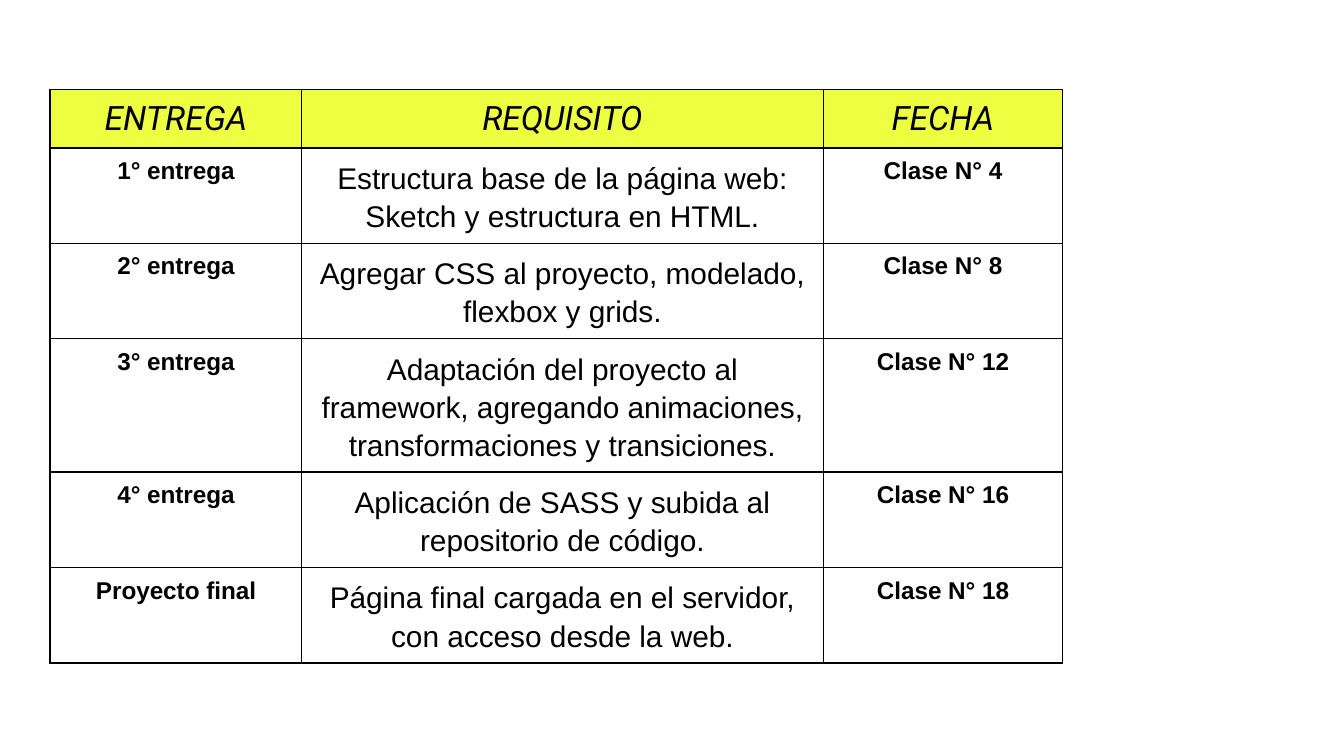
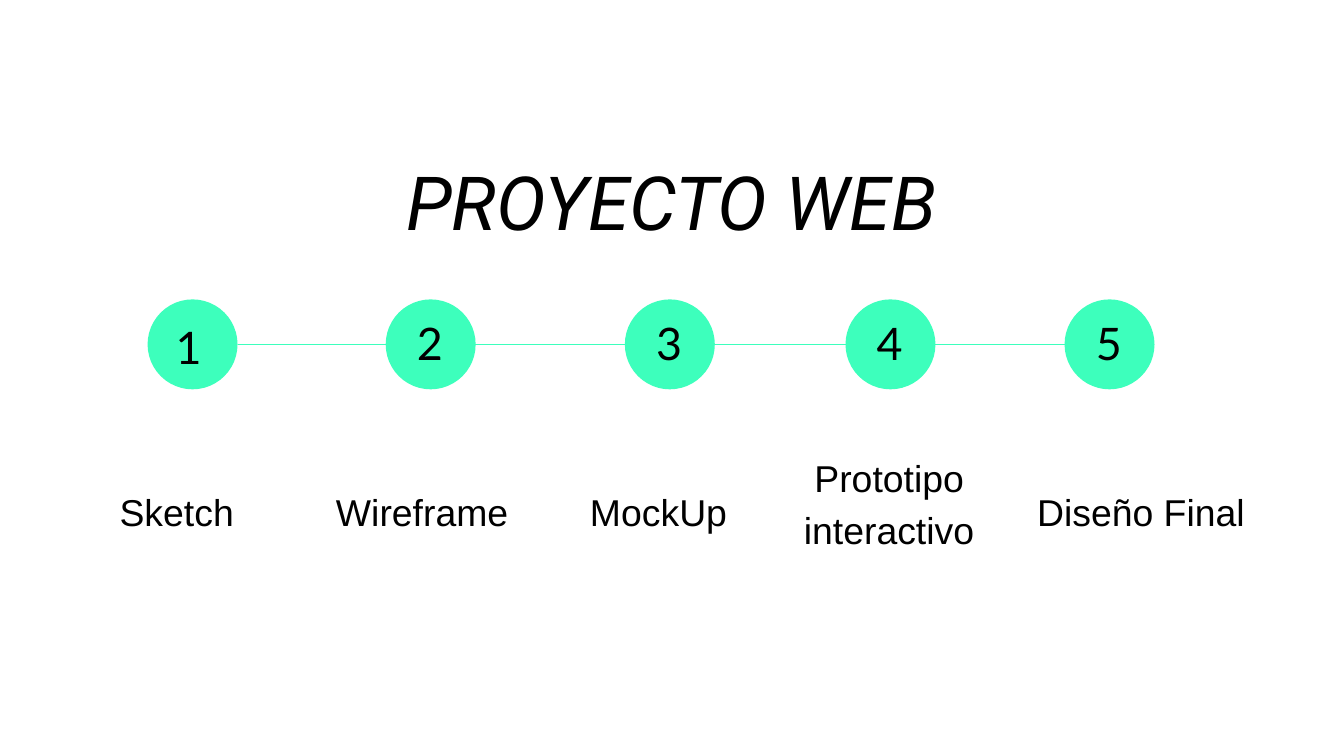
from dataclasses import dataclass

from lxml.etree import SubElement
from pptx import Presentation
from pptx.dml.color import RGBColor
from pptx.enum.shapes import MSO_CONNECTOR, MSO_SHAPE
from pptx.enum.text import MSO_ANCHOR, PP_ALIGN
from pptx.oxml.ns import qn
from pptx.util import Cm, Pt

HEADINGS = ("ENTREGA", "REQUISITO", "FECHA")
DELIVERIES = [
    ("1° entrega", "Estructura base de la página web: Sketch y estructura en HTML.", "Clase N° 4"),
    ("2° entrega", "Agregar CSS al proyecto, modelado, flexbox y grids.", "Clase N° 8"),
    ("3° entrega", "Adaptación del proyecto al framework, agregando animaciones, "
                   "transformaciones y transiciones.", "Clase N° 12"),
    ("4° entrega", "Aplicación de SASS y subida al repositorio de código.", "Clase N° 16"),
    ("Proyecto final", "Página final cargada en el servidor, con acceso desde la web.", "Clase N° 18"),
]
COLUMN_WIDTHS = (4.75, 9.86, 4.52)
ROW_HEIGHTS = (1.09, 1.8, 1.8, 2.52, 1.8, 1.8)

PROJECT_TITLE = "PROYECTO WEB"
# Stage name, circle left, label left, label width, label height (cm)
STAGES = [
    ("Sketch", 2.79, 2.01, 3.3, 2.97),
    ("Wireframe", 7.29, 6.1, 4.45, 2.11),
    ("MockUp", 11.81, 10.9, 3.53, 1.93),
    ("Prototipo interactivo", 15.98, 14.58, 4.45, 2.49),
    ("Diseño Final", 20.12, 19.35, 4.9, 1.52),
]
CIRCLE_TOP, CIRCLE_SIZE = 5.66, 1.7
LABEL_MIDDLE = 9.46
FIRST_NUMBER_OFFSET, NUMBER_OFFSET = (0.28, 0.13), (0.34, 0.06)


@dataclass(frozen=True)
class Theme:
    ink: RGBColor = RGBColor(0x00, 0x00, 0x00)
    lime: RGBColor = RGBColor(0xEE, 0xFF, 0x41)
    mint: RGBColor = RGBColor(0x3D, 0xFF, 0xBC)
    inset: float = 0.25
    cell_inset: float = 0.18
    border: float = 1
    rail: float = 0.75


THEME = Theme()
TITLE = {"name": "Roboto", "size": Pt(40), "italic": True}
HEADING = {"name": "Roboto", "size": Pt(18), "italic": True}
KEY = {"name": "Arial", "size": Pt(13), "bold": True}
REQUIREMENT = {"name": "Arial", "size": Pt(16), "bold": False}
STAGE = {"name": "Arial", "size": Pt(20)}
NUMBER = {"name": "Lato", "size": Pt(24)}

CENTERED = {"alignment": PP_ALIGN.CENTER}
ROOMY = {"line_spacing": 1.5, "space_after": Pt(11)}
JUSTIFIED = {"alignment": PP_ALIGN.JUSTIFY, **ROOMY}
MULTILINE = {**CENTERED, **ROOMY, "line_spacing": 1.15}


def apply(target, values):
    for attribute, value in values.items():
        setattr(target, attribute, value)


def margins(inset):
    return {f"margin_{side}": Cm(inset) for side in ("left", "right", "top", "bottom")}


def write(frame, words, font, layout):
    paragraph = frame.paragraphs[0]
    apply(paragraph, layout)
    run = paragraph.add_run()
    run.text = words
    apply(run.font, font)
    run.font.color.rgb = THEME.ink


def add_text(slide, box, words, font, layout, anchor=MSO_ANCHOR.TOP):
    frame = slide.shapes.add_textbox(*map(Cm, box)).text_frame
    apply(frame, {"word_wrap": True, "vertical_anchor": anchor, **margins(THEME.inset)})
    write(frame, words, font, layout)


def add_borders(cell):
    properties = cell._tc.get_or_add_tcPr()
    for edge in ("lnL", "lnR", "lnT", "lnB"):
        line = SubElement(properties, qn(f"a:{edge}"), w=str(Pt(THEME.border)))
        fill = SubElement(line, qn("a:solidFill"))
        SubElement(fill, qn("a:srgbClr"), val=str(THEME.ink))


def fill_cell(cell, words, font, layout, color=None):
    apply(cell, margins(THEME.cell_inset))
    add_borders(cell)
    if color is None:
        cell.fill.background()
    else:
        cell.fill.solid()
        cell.fill.fore_color.rgb = color
    write(cell.text_frame, words, font, layout)


def build_deliveries(slide):
    size = (sum(COLUMN_WIDTHS), sum(ROW_HEIGHTS))
    table = slide.shapes.add_table(
        len(ROW_HEIGHTS), len(COLUMN_WIDTHS), *map(Cm, (0.95, 1.69, *size))).table
    apply(table, {"first_row": False, "horz_banding": False})
    for column, width in zip(table.columns, COLUMN_WIDTHS):
        column.width = Cm(width)
    for row, height in zip(table.rows, ROW_HEIGHTS):
        row.height = Cm(height)

    for column, heading in enumerate(HEADINGS):
        fill_cell(table.cell(0, column), heading, HEADING, CENTERED, THEME.lime)
    formats = (
        (KEY, CENTERED),
        (REQUIREMENT, {**CENTERED, "line_spacing": 1.15}),
        (KEY, CENTERED),
    )
    for row, delivery in enumerate(DELIVERIES, start=1):
        for column, (words, (font, layout)) in enumerate(zip(delivery, formats)):
            fill_cell(table.cell(row, column), words, font, layout)


def add_rail(slide):
    """Draw the line that runs behind the circles, first to last."""
    start, end = STAGES[0][1] + CIRCLE_SIZE, STAGES[-1][1]
    middle = CIRCLE_TOP + CIRCLE_SIZE / 2
    rail = slide.shapes.add_connector(
        MSO_CONNECTOR.STRAIGHT, *map(Cm, (start, middle, end, middle)))
    rail.line.color.rgb = THEME.mint
    rail.line.width = Pt(THEME.rail)
    SubElement(rail._element.spPr, qn("a:effectLst"))


def add_circle(slide, left):
    circle = slide.shapes.add_shape(
        MSO_SHAPE.OVAL, *map(Cm, (left, CIRCLE_TOP, CIRCLE_SIZE, CIRCLE_SIZE)))
    circle.shadow.inherit = False
    circle.fill.solid()
    circle.fill.fore_color.rgb = THEME.mint
    circle.line.fill.background()


def build_stages(slide):
    add_rail(slide)
    add_text(slide, (3.63, 1.85, 18.11, 2.74), PROJECT_TITLE, TITLE, {**CENTERED, **ROOMY})
    for number, (stage, circle_left, left, width, height) in enumerate(STAGES, start=1):
        add_circle(slide, circle_left)
        across, down = FIRST_NUMBER_OFFSET if number == 1 else NUMBER_OFFSET
        add_text(slide, (circle_left + across, CIRCLE_TOP + down, 0.76, 1.02),
                 str(number), NUMBER, {})
        layout = MULTILINE if " inter" in stage else JUSTIFIED
        add_text(slide, (left, LABEL_MIDDLE - height / 2, width, height),
                 stage, STAGE, layout, MSO_ANCHOR.MIDDLE)


def main():
    deck = Presentation()
    apply(deck, {"slide_width": Cm(25.4), "slide_height": Cm(14.29)})
    for build in (build_deliveries, build_stages):
        build(deck.slides.add_slide(deck.slide_layouts[6]))
    deck.save("out.pptx")


if __name__ == "__main__":
    main()
